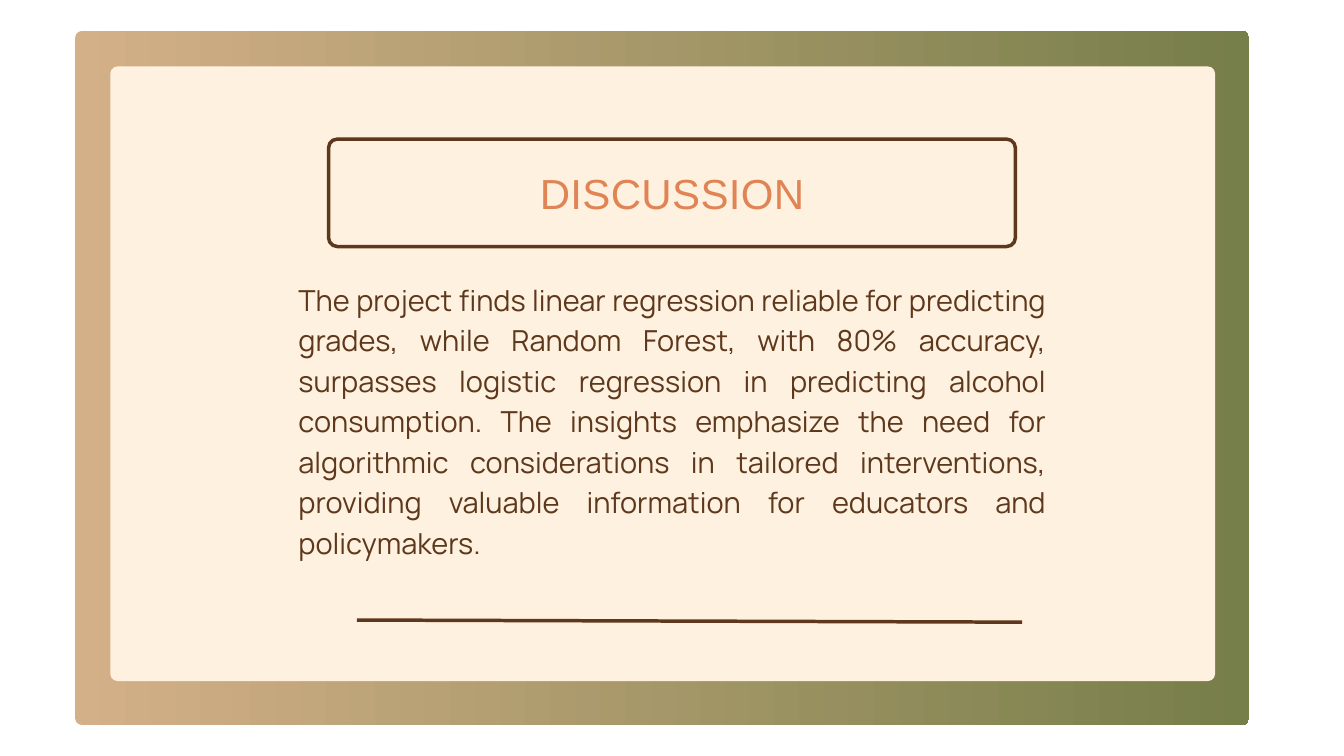
from lxml.etree import SubElement
from pptx import Presentation
from pptx.dml.color import RGBColor
from pptx.enum.shapes import MSO_CONNECTOR, MSO_SHAPE
from pptx.enum.text import MSO_ANCHOR, MSO_AUTO_SIZE, PP_ALIGN
from pptx.oxml.ns import qn
from pptx.util import Cm, Pt

WHITE = RGBColor(0xFF, 0xFF, 0xFF)
TAN = RGBColor(0xD4, 0xB0, 0x88)
OLIVE = RGBColor(0x76, 0x7E, 0x49)
CREAM = RGBColor(0xFF, 0xF1, 0xDF)
BROWN = RGBColor(0x5D, 0x38, 0x1C)
ORANGE = RGBColor(0xE1, 0x84, 0x55)


def add_rounded(left, top, width, height, radius):
    panel = slide.shapes.add_shape(
        MSO_SHAPE.ROUNDED_RECTANGLE, Cm(left), Cm(top), Cm(width), Cm(height))
    panel.adjustments[0] = radius / min(width, height)
    panel.shadow.inherit = False
    panel.line.fill.background()
    return panel


def write(holder, box, text, align, leading, font_name, size, color):
    holder.left, holder.top, holder.width, holder.height = map(Cm, box)
    frame = holder.text_frame
    frame.margin_left = frame.margin_right = frame.margin_top = frame.margin_bottom = 0
    frame.word_wrap = True
    frame.auto_size = MSO_AUTO_SIZE.SHAPE_TO_FIT_TEXT
    frame.vertical_anchor = MSO_ANCHOR.TOP
    frame.text = text
    paragraph = frame.paragraphs[0]
    paragraph.alignment = align
    paragraph.line_spacing = Pt(leading)
    paragraph.space_before = Pt(0)
    paragraph.font.name = font_name
    paragraph.font.size = Pt(size)
    paragraph.font.color.rgb = color
    slide.shapes._spTree.append(holder._element)
    return paragraph


presentation = Presentation()
presentation.slide_width = Cm(50.8)
presentation.slide_height = Cm(28.58)
slide = presentation.slides.add_slide(presentation.slide_layouts[1])
slide.background.fill.solid()
slide.background.fill.fore_color.rgb = WHITE

border = add_rounded(2.84, 1.17, 44.37, 26.24, 0.26)
border.fill.gradient()
border.fill.gradient_angle = 0
for stop, color in zip(border.fill.gradient_stops, (TAN, OLIVE)):
    stop.color.rgb = color

page = add_rounded(4.17, 2.51, 41.76, 23.24, 0.28)
page.fill.solid()
page.fill.fore_color.rgb = CREAM

heading_frame = add_rounded(12.42, 5.26, 25.96, 4.06, 0.33)
heading_frame.fill.background()
heading_frame.line.color.rgb = BROWN
heading_frame.line.width = Pt(3.75)

heading = write(
    slide.shapes.title, (13.44, 6.2, 23.93, 2.03), "DISCUSSION",
    PP_ALIGN.CENTER, 58, "Arial", 45, ORANGE)
heading.runs[0].font._element.set("spc", "40")

findings = write(
    slide.placeholders[1], (11.28, 10.46, 28.24, 10.59),
    "The project finds linear regression reliable for predicting grades, "
    "while Random Forest, with 80% accuracy, surpasses logistic regression "
    "in predicting alcohol consumption. The insights emphasize the need for "
    "algorithmic considerations in tailored interventions, providing valuable "
    "information for educators and policymakers.",
    PP_ALIGN.JUSTIFY, 43.4, "Manrope", 31, BROWN)
findings_format = findings._p.get_or_add_pPr()
findings_format.set("marL", "0")
findings_format.set("indent", "0")
findings_format.insert_element_before(
    findings_format.makeelement(qn("a:buNone")), "a:tabLst", "a:defRPr", "a:extLst")

closing_rule = slide.shapes.add_connector(
    MSO_CONNECTOR.STRAIGHT, Cm(13.49), Cm(23.44), Cm(38.63), Cm(23.52))
closing_rule.line.color.rgb = BROWN
closing_rule.line.width = Pt(3.75)
SubElement(closing_rule._element.spPr, qn("a:effectLst"))

presentation.save("out.pptx")
